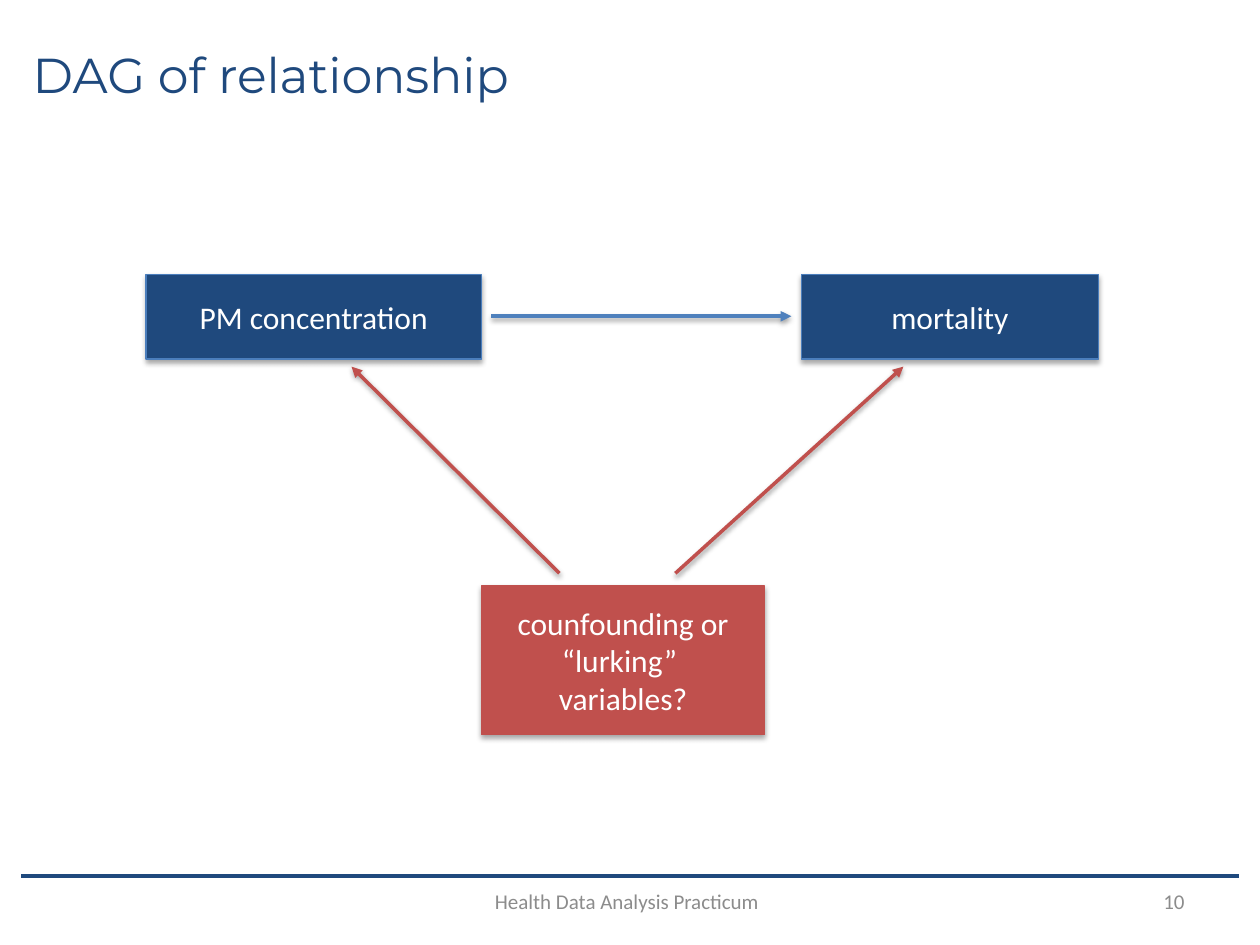
from lxml import etree
from pptx import Presentation
from pptx.dml.color import RGBColor
from pptx.enum.shapes import MSO_CONNECTOR, MSO_SHAPE
from pptx.enum.text import MSO_ANCHOR, PP_ALIGN
from pptx.oxml.ns import qn
from pptx.util import Inches, Pt

COLORS = {
    "navy": "1F497D",
    "blue": "4F81BD",
    "outline": "4B7EBC",
    "red": "C0504D",
    "gray": "8C8C8C",
    "white": "FFFFFF",
    "black": "000000",
}


def rgb(name):
    return RGBColor.from_string(COLORS[name])


class SlideBuilder:
    body_font = "Calibri"
    title_font = "Montserrat"

    def __init__(self, prs):
        self.s = prs.slides.add_slide(prs.slide_layouts[5])

    def set_text(self, tf, text, size, color, align, font=body_font):
        tf.text = text
        frame_format = {"word_wrap": True, "vertical_anchor": MSO_ANCHOR.MIDDLE}
        for name, value in frame_format.items():
            setattr(tf, name, value)
        for p in tf.paragraphs:
            p.alignment = align
            for r in p.runs:
                for name, value in {"name": font, "size": Pt(size), "bold": False}.items():
                    setattr(r.font, name, value)
                r.font.color.rgb = rgb(color)

    def place(self, sp, box):
        for name, value in zip(("left", "top", "width", "height"), box):
            setattr(sp, name, Inches(value))

    def outline(self, sp, color, width):
        sp.line.color.rgb = rgb(color)
        sp.line.width = Pt(width)

    def effects(self, sp, alpha=0, dist=0):
        spPr = sp._element.spPr
        for old in spPr.findall(qn("a:effectLst")):
            spPr.remove(old)
        effects = etree.SubElement(spPr, qn("a:effectLst"))
        if alpha:
            shadow = etree.SubElement(
                effects, qn("a:outerShdw"), blurRad=str(Pt(3.1)),
                dist=str(Pt(dist)), dir="5400000", rotWithShape="0")
            color = etree.SubElement(shadow, qn("a:srgbClr"), val=COLORS["black"])
            etree.SubElement(color, qn("a:alpha"), val=str(alpha * 1000))

    def title(self, text, box):
        sp = self.s.shapes.title
        self.place(sp, box)
        self.set_text(sp.text_frame, text, 28, "navy", PP_ALIGN.LEFT, self.title_font)

    def text(self, text, box, align):
        sp = self.s.shapes.add_textbox(*map(Inches, box))
        self.set_text(sp.text_frame, text, 12, "gray", align)

    def node(self, text, box, fill, line):
        sp = self.s.shapes.add_shape(MSO_SHAPE.RECTANGLE, *map(Inches, box))
        sp.fill.solid()
        sp.fill.fore_color.rgb = rgb(fill)
        self.outline(sp, line, 0.75)
        self.effects(sp, alpha=35, dist=1.8)
        self.set_text(sp.text_frame, text, 18, "white", PP_ALIGN.CENTER)

    def rule(self, start, end, color, width):
        sp = self.s.shapes.add_connector(
            MSO_CONNECTOR.STRAIGHT, *map(Inches, start + end))
        self.outline(sp, color, width)
        self.effects(sp)
        return sp

    def arrow(self, start, end, color):
        sp = self.rule(start, end, color, 2)
        ln = sp._element.spPr.find(qn("a:ln"))
        etree.SubElement(ln, qn("a:tailEnd"), type="triangle")
        self.effects(sp, alpha=38, dist=1.6)


def main():
    prs = Presentation()
    prs.slide_width, prs.slide_height = Inches(10), Inches(7.5)
    slide = SlideBuilder(prs)

    slide.rule((0.17, 6.95), (9.83, 6.95), "navy", 2.5)
    slide.title("DAG of relationship", (0.16, 0.14, 9.62, 0.9))
    slide.text("10", (7.17, 6.95, 2.33, 0.4), PP_ALIGN.RIGHT)
    slide.text("Health Data Analysis Practicum ", (2.83, 6.95, 4.33, 0.4), PP_ALIGN.CENTER)

    nodes = [
        ("PM concentration", (1.16, 2.18, 2.66, 0.67), "navy", "outline"),
        ("mortality", (6.36, 2.18, 2.36, 0.67), "navy", "outline"),
        ("counfounding or “lurking” \nvariables?", (3.82, 4.65, 2.25, 1.18), "red", "red"),
    ]
    for node in nodes:
        slide.node(*node)

    arrows = [
        ((3.9, 2.51), (6.28, 2.51), "blue"),
        ((4.44, 4.55), (2.79, 2.91), "red"),
        ((5.36, 4.55), (7.17, 2.91), "red"),
    ]
    for arrow in arrows:
        slide.arrow(*arrow)

    prs.save("out.pptx")


if __name__ == "__main__":
    main()
